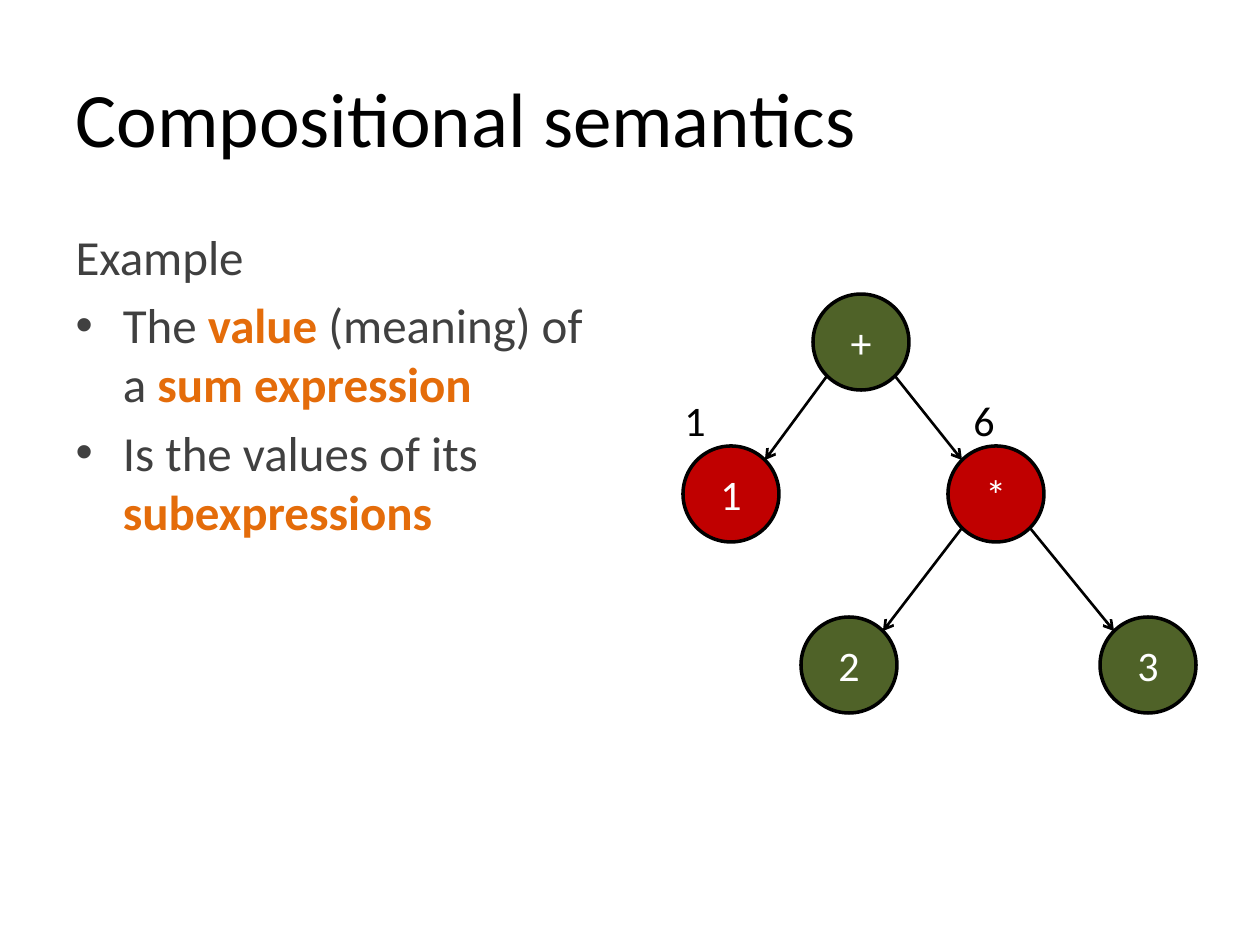
from math import sqrt

from lxml.etree import SubElement
from pptx import Presentation
from pptx.dml.color import RGBColor
from pptx.enum.shapes import MSO_CONNECTOR as CONN, MSO_SHAPE as SHAPE
from pptx.enum.text import MSO_ANCHOR as ANCHOR, MSO_AUTO_SIZE as AUTO, PP_ALIGN as ALIGN
from pptx.oxml.ns import qn
from pptx.util import Emu, Pt

PX_PER_INCH = 126
BLACK, WHITE, GREY = "000000", "FFFFFF", "404040"
ORANGE, GREEN, RED = "E46C0A", "4F6228", "C00000"
NODE_SIZE = 96

# Each paragraph: bulleted or not, then (text, emphasised) runs
BODY = [
    (False, [("Example", False)]),
    (True, [("The ", False), ("value ", True), ("(meaning) of a ", False),
            ("sum expression", True)]),
    (True, [("Is the values of its ", False), ("subexpressions", True)]),
]
# Node: name -> text, left and top in the tree box, fill
NODES = {
    "sum": ("+", 141, 0, GREEN),
    "one": ("1", 11, 152, RED),
    "product": ("*", 276, 152, RED),
    "two": ("2", 129, 323, GREEN),
    "three": ("3", 428, 323, GREEN),
}
EDGES = [("sum", "one"), ("sum", "product"), ("product", "two"), ("product", "three")]
VALUES = [("1", 0, 94), ("6", 289, 94)]


def px(n):
    return Emu(round(n * 914400 / PX_PER_INCH))


def rgb(color):
    return RGBColor.from_string(color)


def set_font(font, size, color):
    font.name, font.size = "Calibri", Pt(size)
    font.color.rgb = rgb(color)


def place(sp, box):
    sp.left, sp.top, sp.width, sp.height = map(px, box)


def add_title(s, box):
    sp = s.shapes.title
    place(sp, box)
    tf = sp.text_frame
    tf.text = "Compositional semantics"
    tf.vertical_anchor = ANCHOR.MIDDLE
    p = tf.paragraphs[0]
    p.alignment = ALIGN.LEFT
    set_font(p.font, 44, BLACK)


def add_body(s, box):
    sp = s.placeholders[1]
    place(sp, box)
    tf = sp.text_frame
    tf.auto_size = AUTO.NONE
    for i, (bulleted, runs) in enumerate(BODY):
        p = tf.add_paragraph() if i else tf.paragraphs[0]
        set_font(p.font, 28, GREY)
        if not bulleted:
            pPr = p._p.get_or_add_pPr()
            pPr.set("marL", "0")
            pPr.set("indent", "0")
            pPr.insert_element_before(pPr.makeelement(qn("a:buNone")), "a:defRPr")
        for text, emphasised in runs:
            r = p.add_run()
            r.text = text
            set_font(r.font, 28, ORANGE if emphasised else GREY)
            r.font.bold = emphasised


def add_node(s, text, x, y, fill):
    sp = s.shapes.add_shape(SHAPE.OVAL, px(x), px(y), px(NODE_SIZE), px(NODE_SIZE))
    sp.shadow.inherit = False
    sp.fill.solid()
    sp.fill.fore_color.rgb = rgb(fill)
    sp.line.color.rgb = rgb(BLACK)
    sp.line.width = Pt(2)
    tf = sp.text_frame
    tf.text = text
    tf.vertical_anchor = ANCHOR.MIDDLE
    p = tf.paragraphs[0]
    p.alignment = ALIGN.CENTER
    set_font(p.font, 24, WHITE)


def add_edge(s, parent, child):
    """Join the parent's lower diagonal point to the child's upper one."""
    half, diagonal = NODE_SIZE / 2, NODE_SIZE / 2 / sqrt(2)
    side = diagonal if child[0] > parent[0] else -diagonal
    c = s.shapes.add_connector(
        CONN.STRAIGHT,
        px(parent[0] + half + side), px(parent[1] + half + diagonal),
        px(child[0] + half - side), px(child[1] + half - diagonal))
    c.line.color.rgb = rgb(BLACK)
    c.line.width = Pt(1.5)
    SubElement(c.line._get_or_add_ln(), qn("a:tailEnd"), type="arrow")
    SubElement(c._element.spPr, qn("a:effectLst"))


def add_value(s, text, x, y):
    sp = s.shapes.add_textbox(px(x), px(y), px(47), px(63))
    tf = sp.text_frame
    tf.text = text
    tf.word_wrap = False
    tf.auto_size = AUTO.SHAPE_TO_FIT_TEXT
    set_font(tf.paragraphs[0].font, 24, BLACK)


def add_tree(s, left, top):
    corners = {}
    for name, (text, x, y, fill) in NODES.items():
        corners[name] = (left + x, top + y)
        add_node(s, text, *corners[name], fill)
    for parent, child in EDGES:
        add_edge(s, corners[parent], corners[child])
    for text, x, y in VALUES:
        add_value(s, text, left + x, top + y)


def main():
    prs = Presentation()
    prs.slide_width, prs.slide_height = px(1260), px(945)
    s = prs.slides.add_slide(prs.slide_layouts[1])
    add_title(s, (63, 38, 1134, 157))
    add_body(s, (63, 220, 557, 624))
    add_tree(s, 672, 294)
    prs.save("out.pptx")


if __name__ == "__main__":
    main()
